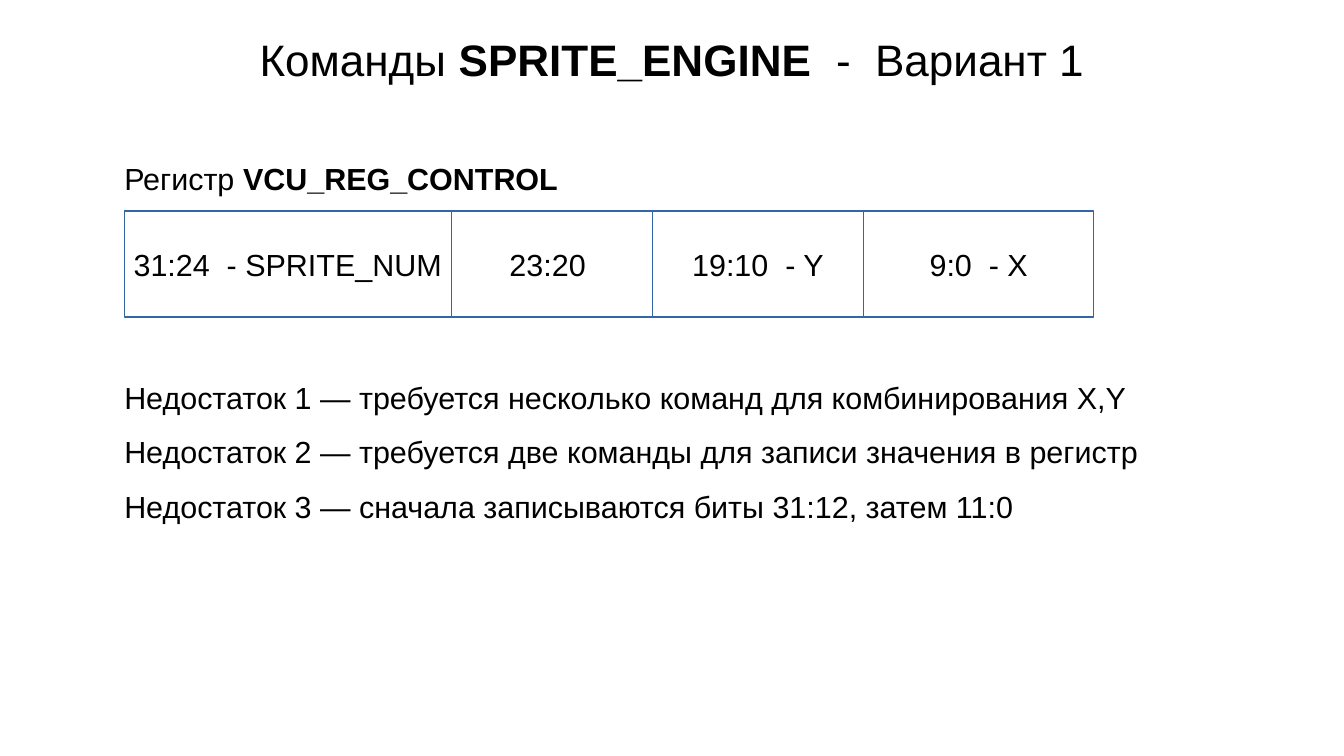
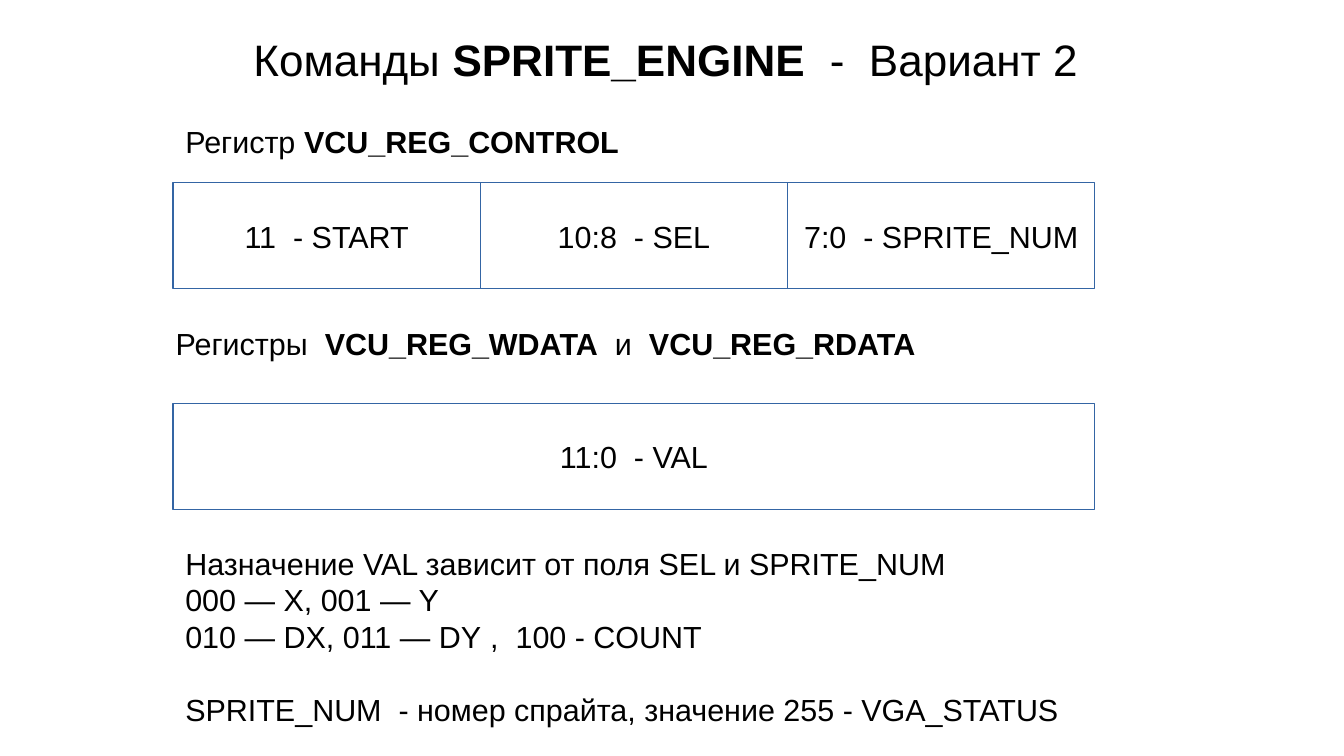
import dataclasses
import typing

import pptx
import pptx.dml.color
import pptx.enum.shapes
import pptx.enum.text
import pptx.util

Pt = pptx.util.Pt
ALIGN = pptx.enum.text.PP_ALIGN
ANCHOR = pptx.enum.text.MSO_ANCHOR

# Shared style
COLORS = {"background": "FFFFFF", "text": "000000", "outline": "3465A4"}
FONT = "Arial"
TITLE_SIZE = 26
TEXT_SIZE = 18
LINE_FACTOR = 1.2
SLIDE_WIDTH, SLIDE_HEIGHT = 793.44, 446.4
FIELD_HEIGHT = 62.6
BOX_FORMAT = {
    "word_wrap": True, "vertical_anchor": ANCHOR.TOP,
    "margin_left": 0, "margin_right": 0, "margin_top": 0, "margin_bottom": 0,
}
TITLE_FORMAT = {**BOX_FORMAT, "vertical_anchor": ANCHOR.MIDDLE}
FIELD_FORMAT = {
    "word_wrap": False, "vertical_anchor": ANCHOR.MIDDLE,
    "margin_left": Pt(7.2), "margin_right": Pt(7.2),
    "margin_top": Pt(3.6), "margin_bottom": Pt(3.6),
}


@dataclasses.dataclass(frozen=True)
class Line:
    """One paragraph; parts between asterisks are bold."""
    text: str
    space_before: float = 0


@dataclasses.dataclass(frozen=True)
class TextBlock:
    left: float
    top: float
    width: float
    height: float
    lines: tuple[Line, ...]


@dataclasses.dataclass(frozen=True)
class Field:
    text: str
    width: float


@dataclasses.dataclass(frozen=True)
class Register:
    left: float
    top: float
    fields: tuple[Field, ...]


@dataclasses.dataclass(frozen=True)
class Page:
    title: str
    registers: tuple[Register, ...]
    blocks: tuple[TextBlock, ...]


# Content
PAGES = (
    Page(
        "Команды *SPRITE_ENGINE*  -  Вариант 1",
        (Register(73.4, 124.6, (
            Field("31:24  - SPRITE_NUM", 193),
            Field("23:20 ", 118.8),
            Field("19:10  - Y", 124.6),
            Field("9:0  - X", 136),
        )),),
        (
            TextBlock(73.4, 94.8, 640, 22, (Line("Регистр *VCU_REG_CONTROL*"),)),
            TextBlock(73.4, 223.6, 640, 88, (
                Line("Недостаток 1 — требуется несколько команд для комбинирования X,Y"),
                Line("Недостаток 2 — требуется две команды для записи значения в регистр", 10.6),
                Line("Недостаток 3 — сначала записываются биты 31:12, затем 11:0", 10.6),
            )),
        ),
    ),
    Page(
        "Команды *SPRITE_ENGINE*  -  Вариант 2 ",
        (
            Register(102.2, 108, (
                Field("11  - START", 181.4),
                Field("10:8  - SEL", 181.4),
                Field("7:0  - SPRITE_NUM", 181.4),
            )),
            Register(102.2, 238.4, (Field("11:0  - VAL", 544.2),)),
        ),
        (
            TextBlock(109.4, 72.7, 544, 22, (Line("Регистр *VCU_REG_CONTROL*"),)),
            TextBlock(103.7, 192.2, 544, 22, (
                Line("Регистры  *VCU_REG_WDATA*  и  *VCU_REG_RDATA*"),
            )),
            TextBlock(109.4, 321.8, 544, 108, (
                Line("Назначение VAL зависит от поля SEL и SPRITE_NUM"),
                Line("000 — X, 001 — Y"),
                Line("010 — DX, 011 — DY\t,  100 - COUNT"),
                Line("SPRITE_NUM  - номер спрайта, значение 255 - VGA_STATUS", 21.6),
            )),
        ),
    ),
)


def color(name: str) -> pptx.dml.color.RGBColor:
    return pptx.dml.color.RGBColor.from_string(COLORS[name])


def apply_format(target: typing.Any, values: dict[str, typing.Any]) -> None:
    for name, value in values.items():
        setattr(target, name, value)


def write_lines(shape: typing.Any, lines: tuple[Line, ...], size: float,
                alignment: typing.Any, frame_format: dict[str, typing.Any]) -> None:
    frame = shape.text_frame
    apply_format(frame, frame_format)
    for index, line in enumerate(lines):
        paragraph = frame.add_paragraph() if index else frame.paragraphs[0]
        apply_format(paragraph, {
            "alignment": alignment,
            "line_spacing": Pt(size * LINE_FACTOR),
            "space_before": Pt(line.space_before),
        })
        for part, text in enumerate(line.text.split("*")):
            if text:
                run = paragraph.add_run()
                run.text = text
                apply_format(run.font, {"name": FONT, "size": Pt(size), "bold": part % 2 == 1})
                run.font.color.rgb = color("text")


def draw_title(slide: typing.Any, title: str) -> None:
    shape = slide.shapes.add_textbox(Pt(39.6), Pt(18), Pt(714.2), Pt(33.2))
    write_lines(shape, (Line(title),), TITLE_SIZE, ALIGN.CENTER, TITLE_FORMAT)


def draw_block(slide: typing.Any, block: TextBlock) -> None:
    shape = slide.shapes.add_textbox(
        Pt(block.left), Pt(block.top), Pt(block.width), Pt(block.height))
    write_lines(shape, block.lines, TEXT_SIZE, ALIGN.LEFT, BOX_FORMAT)


def draw_register(slide: typing.Any, register: Register) -> None:
    left = register.left
    for field in register.fields:
        shape = slide.shapes.add_shape(
            pptx.enum.shapes.MSO_SHAPE.RECTANGLE,
            Pt(left), Pt(register.top), Pt(field.width), Pt(FIELD_HEIGHT))
        shape.shadow.inherit = False
        shape.fill.background()
        shape.line.color.rgb = color("outline")
        shape.line.width = Pt(0)
        write_lines(shape, (Line(field.text),), TEXT_SIZE, ALIGN.CENTER, FIELD_FORMAT)
        left += field.width


def main() -> None:
    presentation = pptx.Presentation()
    presentation.slide_width = Pt(SLIDE_WIDTH)
    presentation.slide_height = Pt(SLIDE_HEIGHT)

    # Shared background
    background = presentation.slide_master.background.fill
    background.solid()
    background.fore_color.rgb = color("background")

    # Slides
    for page in PAGES:
        slide = presentation.slides.add_slide(presentation.slide_layouts[6])
        draw_title(slide, page.title)
        for register in page.registers:
            draw_register(slide, register)
        for block in page.blocks:
            draw_block(slide, block)

    presentation.save("out.pptx")


if __name__ == "__main__":
    main()
